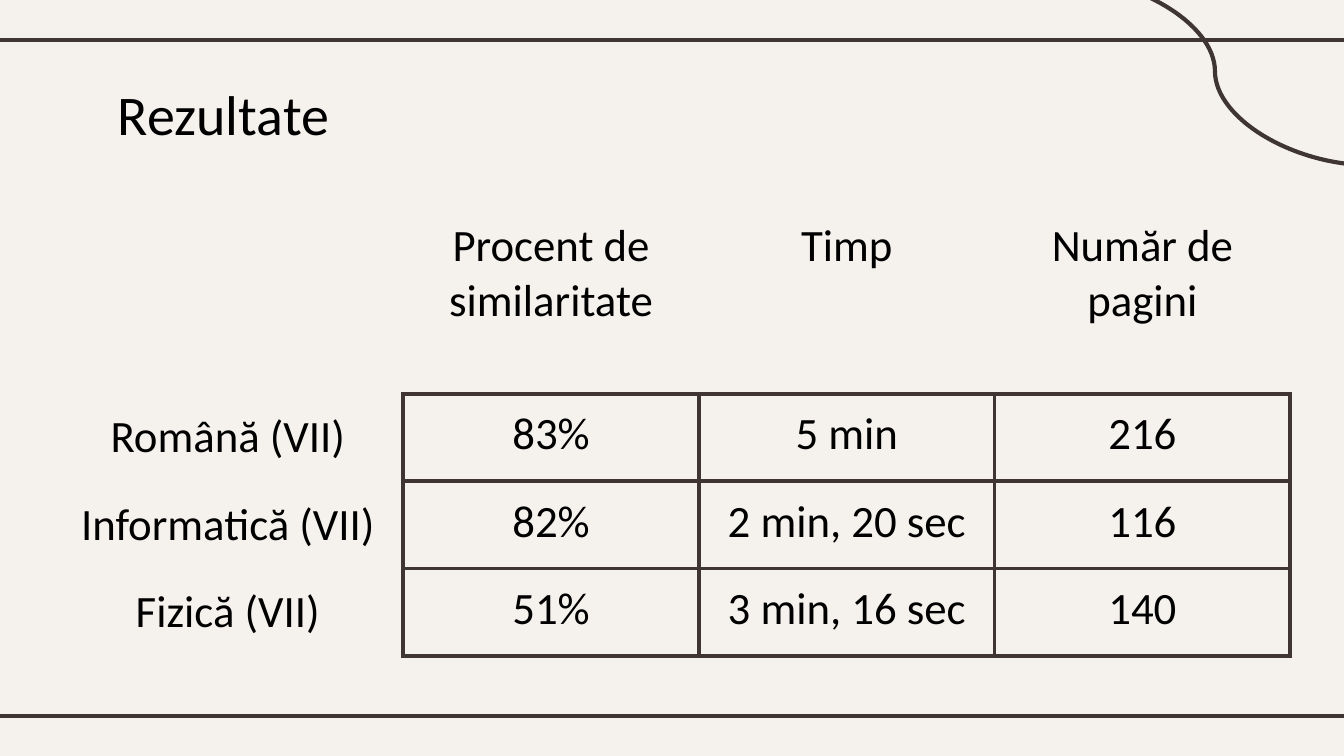
import pptx
import pptx.dml.color
import pptx.enum.shapes
import pptx.enum.text
import pptx.oxml
import pptx.oxml.ns
import pptx.util
from lxml import etree

Inches, Pt = pptx.util.Inches, pptx.util.Pt
RGBColor = pptx.dml.color.RGBColor
CONNECTOR = pptx.enum.shapes.MSO_CONNECTOR
ANCHOR = pptx.enum.text.MSO_ANCHOR
qn = pptx.oxml.ns.qn

TITLE = "Rezultate"
ROWS = [
    ("", "Procent de similaritate", "Timp", "Număr de pagini"),
    ("Română (VII)", "83%", "5 min", "216"),
    ("Informatică (VII)", "82%", "2 min, 20 sec", "116"),
    ("Fizică (VII)", "51%", "3 min, 16 sec", "140"),
]

BACKGROUND = RGBColor(0xF5, 0xF2, 0xEE)
LINE = RGBColor(0x3F, 0x35, 0x33)
TEXT = RGBColor(0, 0, 0)
FONT = "Calibri"
LINE_WIDTH = Pt(2.25)
INSET = Inches(0.1)

WIDTH = 10
HEIGHT = WIDTH * 9 / 16
OVERHANG = 0.08
RULE_MARGIN = 0.3
TABLE_LEFT, TABLE_TOP = 0.39, 1.53
COLUMN_WIDTHS = [2.61] + [2.2] * 3
ROW_HEIGHTS = [1.4] + [0.65] * 3


def add_line(slide, kind, start, end):
    connector = slide.shapes.add_connector(kind, *map(Inches, start + end))
    connector.line.color.rgb = LINE
    connector.line.width = LINE_WIDTH
    etree.SubElement(connector._element.spPr, qn("a:effectLst"))


def format_text(paragraph, size):
    for run in paragraph.runs:
        run.font.name = FONT
        run.font.size = Pt(size)
        run.font.bold = False
        run.font.color.rgb = TEXT


def set_borders(cell, visible):
    """Draw the visible sides (letters of L, R, T, B) and hide the others."""
    properties = cell._tc.get_or_add_tcPr()
    for position, side in enumerate("LRTB"):
        border = etree.Element(qn("a:ln" + side), w=str(LINE_WIDTH))
        if side in visible:
            fill = etree.SubElement(border, qn("a:solidFill"))
            etree.SubElement(fill, qn("a:srgbClr"), val=str(LINE))
        else:
            etree.SubElement(border, qn("a:noFill"))
        properties.insert(position, border)


def visible_sides(row, column):
    if row and column:
        return "LRTB"
    if row:
        return "R"
    return "B" if column else ""


def add_title(slide):
    box = slide.shapes.add_textbox(*map(Inches, (0.78, 0.49, 8.44, 0.63)))
    frame = box.text_frame
    frame.word_wrap = True
    frame.margin_left = frame.margin_right = INSET
    frame.margin_top = frame.margin_bottom = INSET
    frame.text = TITLE
    format_text(frame.paragraphs[0], 30)


def add_results(slide):
    table = slide.shapes.add_table(
        len(ROWS), len(COLUMN_WIDTHS), Inches(TABLE_LEFT), Inches(TABLE_TOP),
        Inches(sum(COLUMN_WIDTHS)), Inches(sum(ROW_HEIGHTS))).table
    table.first_row = table.horz_banding = False
    for column, width in zip(table.columns, COLUMN_WIDTHS):
        column.width = Inches(width)
    for row, height in zip(table.rows, ROW_HEIGHTS):
        row.height = Inches(height)
    for row, values in enumerate(ROWS):
        for column, value in enumerate(values):
            cell = table.cell(row, column)
            cell.margin_left = cell.margin_right = INSET
            cell.margin_top = cell.margin_bottom = INSET
            is_label = row > 0 and column == 0
            cell.vertical_anchor = ANCHOR.MIDDLE if is_label else ANCHOR.TOP
            cell.fill.background()
            set_borders(cell, visible_sides(row, column))
            if value:
                cell.text_frame.text = value
                paragraph = cell.text_frame.paragraphs[0]
                paragraph.alignment = pptx.enum.text.PP_ALIGN.CENTER
                format_text(paragraph, 24)


def main():
    presentation = pptx.Presentation()
    presentation.slide_width = Inches(WIDTH)
    presentation.slide_height = Inches(HEIGHT)
    slide = presentation.slides.add_slide(presentation.slide_layouts[6])
    slide.background.fill.solid()
    slide.background.fill.fore_color.rgb = BACKGROUND

    for y in (RULE_MARGIN, HEIGHT - RULE_MARGIN):
        add_line(slide, CONNECTOR.STRAIGHT, (-OVERHANG, y), (WIDTH + OVERHANG, y))
    add_line(slide, CONNECTOR.CURVE, (7.88, -0.17), (10.2, 1.23))
    add_title(slide)
    add_results(slide)
    presentation.save("out.pptx")


if __name__ == "__main__":
    main()
